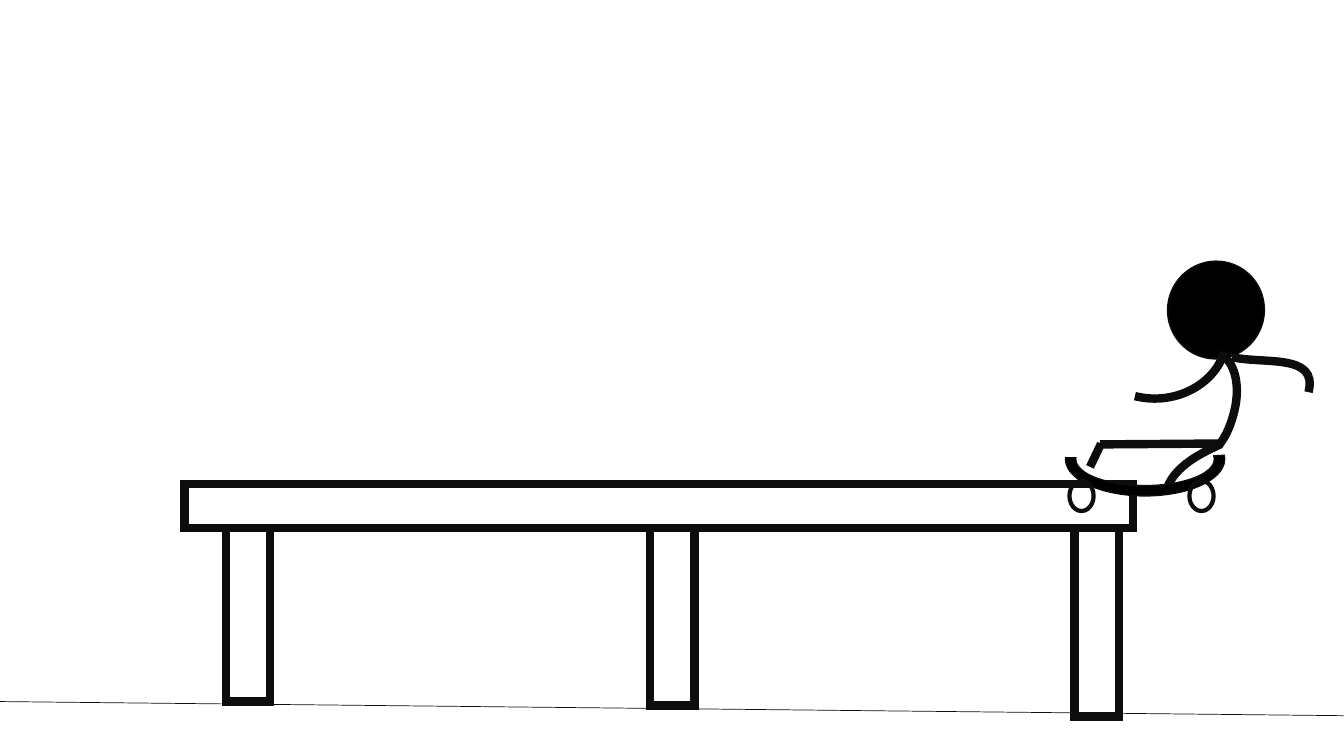
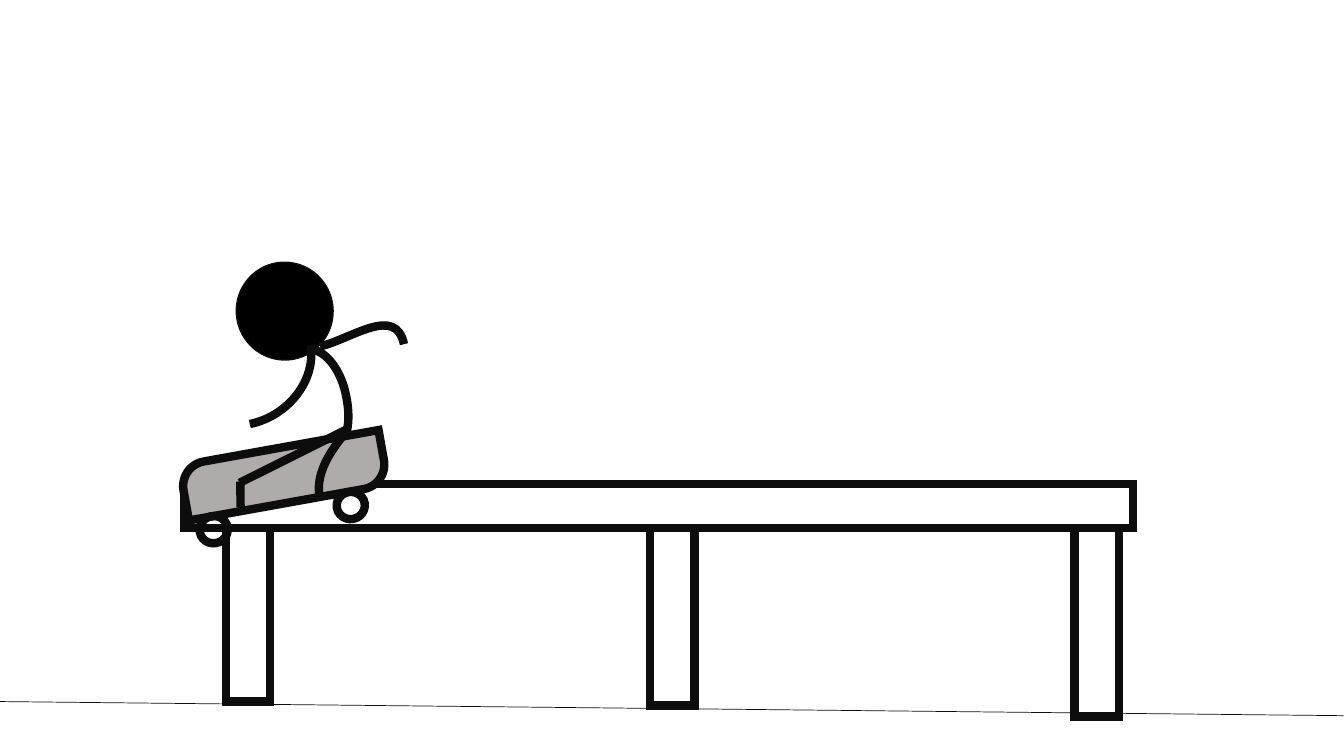
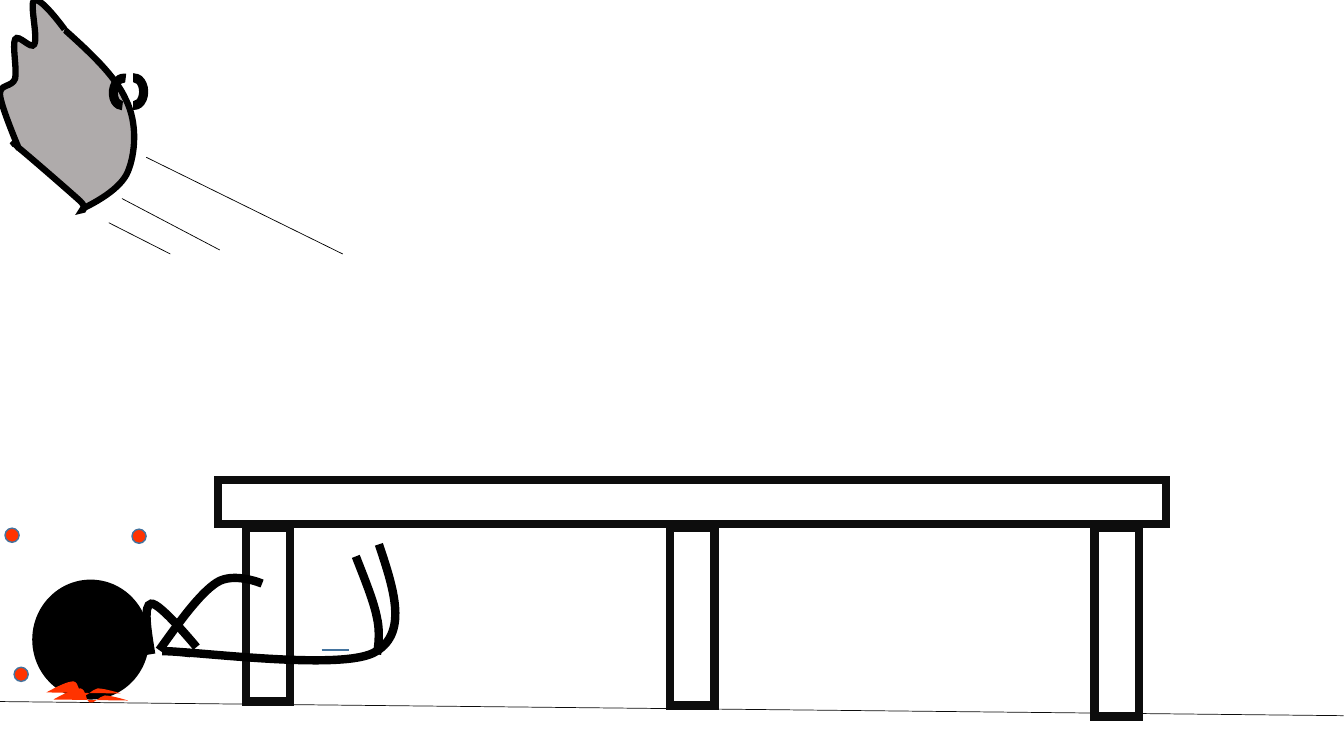
from dataclasses import dataclass
from math import cos, radians, sin

from lxml.etree import SubElement
from pptx import Presentation
from pptx.dml.color import RGBColor
from pptx.enum.shapes import MSO_CONNECTOR as CONN, MSO_SHAPE as SHAPE
from pptx.oxml.ns import qn
from pptx.util import Emu, Pt

PX = 9144
STEPS = 40


@dataclass(frozen=True)
class Theme:
    """Colours and line weights shared by the slides."""
    ink: str = "0D0D0D"
    black: str = "000000"
    board: str = "AFABAB"
    blood: str = "FF3300"
    blue: str = "43739E"
    hair: float = 0.5
    thin: float = 1
    arc: float = 2.25
    wheel: float = 3
    outline: float = 4.5
    bold: float = 6


T = Theme()


def emu(n):
    """Turn px into EMU."""
    return Emu(round(n * PX))


def set_line(shape, color, weight):
    """Give a shape a mitred line, or none."""
    if color is None:
        shape.line.fill.background()
        return
    shape.line.color.rgb = RGBColor.from_string(color)
    shape.line.width = Pt(weight)
    ln = shape.element.spPr.find(qn("a:ln"))
    SubElement(ln, qn("a:miter"), lim="800000")


def paint(shape, fill, color, weight):
    """Set the fill and line of a shape and drop its shadow."""
    shape.shadow.inherit = False
    if fill:
        shape.fill.solid()
        shape.fill.fore_color.rgb = RGBColor.from_string(fill)
    else:
        shape.fill.background()
    set_line(shape, color, weight)


def preset(s, kind, box, fill=None, color=T.ink, weight=T.bold, rot=0, adj=()):
    """Add a preset shape."""
    sp = s.shapes.add_shape(kind, *map(emu, box))
    for i, value in enumerate(adj):
        sp.adjustments[i] = value
    sp.rotation = rot
    paint(sp, fill, color, weight)


def line(s, start, end, color=T.ink, weight=T.bold):
    """Add a straight connector between two points."""
    cx = s.shapes.add_connector(CONN.STRAIGHT, *map(emu, (*start, *end)))
    set_line(cx, color, weight)
    SubElement(cx.element.spPr, qn("a:effectLst"))


def bezier(a, b, c, d):
    """Return points along one cubic curve."""
    pts = []
    for i in range(STEPS + 1):
        t = i / STEPS
        u = 1 - t
        k = (u ** 3, 3 * u * u * t, 3 * u * t * t, t ** 3)
        pts.append(tuple(sum(w * p[n] for w, p in zip(k, (a, b, c, d))) for n in (0, 1)))
    return pts


def bounds(pts):
    """Return the box around joined cubic curves."""
    dots = [q for i in range(0, len(pts) - 1, 3) for q in bezier(*pts[i:i + 4])]
    xs, ys = zip(*dots)
    return min(xs), min(ys), max(xs) - min(xs), max(ys) - min(ys)


def curve(s, pts, box=None, fill=None, color=T.ink, weight=T.bold, rot=0):
    """Add an open outline of joined cubic curves in its box."""
    x, y, w, h = map(emu, box or bounds(pts))
    dots = [(emu(px), emu(py)) for px, py in pts]
    fb = s.shapes.build_freeform(*dots[0])
    fb.add_line_segments(dots[1:], close=False)
    sp = fb.convert_to_shape()
    sp.left, sp.top, sp.width, sp.height = x, y, w, h
    sp.rotation = rot
    geo = next(sp.element.spPr.iter(qn("a:path")))
    for el in list(geo):
        geo.remove(el)
    geo.set("w", str(w))
    geo.set("h", str(h))
    parts = [("a:moveTo", dots[:1])]
    parts += [("a:cubicBezTo", dots[i:i + 3]) for i in range(1, len(dots), 3)]
    for tag, group in parts:
        el = SubElement(geo, qn(tag))
        for px, py in group:
            SubElement(el, qn("a:pt"), x=str(px - x), y=str(py - y))
    paint(sp, fill, color, weight)


def shift(x, y, pts):
    """Move points into a box."""
    return [(x + px, y + py) for px, py in pts]


def turn(x, y, angle, pts):
    """Turn points about a hip and move them there."""
    c, n = cos(radians(angle)), sin(radians(angle))
    return [(x + px * c - py * n, y + px * n + py * c) for px, py in pts]


def ground(s):
    """Draw the sloping ground line."""
    line(s, (0, 696), (1333, 710), weight=T.hair)


def bench(s, x, y, leg_x, leg_y=524):
    """Draw a long bench with three legs."""
    preset(s, SHAPE.RECTANGLE, (x, y, 941, 44))
    for i, h in enumerate((172, 176, 187)):
        preset(s, SHAPE.RECTANGLE, (leg_x + 421 * i, leg_y, 44, h))


def rider(s, x, y, angle):
    """Draw a seated figure, turned about its hip."""
    def offset(box):
        left, top, w, h = box
        mx, my = left + w / 2, top + h / 2
        (cx, cy), = turn(x, y, angle, [(mx, my)])
        return cx - mx, cy - my

    def limb(box, pts):
        dx, dy = offset(box)
        left, top, w, h = box
        curve(s, shift(dx, dy, pts), (left + dx, top + dy, w, h), rot=angle)

    limb((-40, 0, 51, 110), [(0, 0), (6, 0), (-40, 25), (-40, 60)])
    line(s, *turn(x, y, angle, [(0, 0), (-115, 30)]))
    line(s, *turn(x, y, angle, [(-114, 29), (-119, 54)]))
    limb((-52, -86, 58, 90), [(-23, -86), (-8, -85), (4, -66), (6, -41),
                              (7, -25), (5, -8), (-1, 3)])
    head = (-84, -176, 96, 97)
    dx, dy = offset(head)
    preset(s, SHAPE.OVAL, (head[0] + dx, head[1] + dy, *head[2:]), T.black,
           weight=T.thin, rot=angle)
    limb((-9, -94, 82, 82), [(-9, -86), (24, -87), (73, -111), (73, -71)])
    limb((-93, -89, 74, 64), [(-18, -89), (-19, -56), (-52, -25), (-93, -25)])


def side_board(s, x, y):
    """Draw the curved skateboard seen from the side."""
    preset(s, SHAPE.BLOCK_ARC, (x, y, 158, 73), T.black, weight=T.thin,
           adj=(214.35, 108.61, 0.14))
    for dx in (4, 123):
        preset(s, SHAPE.OVAL, (x + dx, y + 58, 24, 30), weight=T.wheel)


def tilted_board(s, x, y):
    """Draw the grey skateboard tipping off the bench."""
    preset(s, SHAPE.ROUND_2_DIAG_RECTANGLE, (x, y, 201, 55), T.board,
           rot=-10.2, adj=(0.45, 0))
    for dx, dy in ((17, 68), (153, 44)):
        preset(s, SHAPE.OVAL, (x + dx, y + dy, 28, 27), rot=-10.2)


def broken_board(s, x, y):
    """Draw the flying half board with its wheel and speed lines."""
    deck = [(58, 24), (86, 49), (114, 74), (125, 99), (137, 123), (134, 153),
            (127, 170), (120, 188), (92, 202), (84, 206), (76, 211), (90, 209),
            (79, 199), (68, 189), (30, 156), (19, 147), (9, 137), (12, 140), (15, 144)]
    splinters = [(64, 29), (52, 13), (39, -2), (34, 0), (29, 3), (38, 37),
                 (34, 44), (31, 50), (18, 33), (15, 39), (12, 45), (17, 69),
                 (15, 78), (12, 87), (-1, 83), (0, 94), (1, 106), (19, 148), (19, 148)]
    for pts in (deck, splinters):
        curve(s, shift(x, y, pts), None, T.board, T.black, T.outline)
    for dx, rot, adj in ((117, 90, (108, 0)), (105, 96.7, (0, 108))):
        preset(s, SHAPE.BLOCK_ARC, (x + dx, y + 79, 33, 24), T.black, T.black,
               T.arc, rot, adj)
    for ends in (((108, 221), (169, 252)), ((121, 197), (218, 248)),
                 ((145, 156), (340, 252))):
        line(s, *shift(x, y, ends), T.black, T.hair)


def fallen(s, x, y):
    """Draw the figure lying on the ground."""
    body = [(344, -35), (359, 10), (374, 55), (338, 73), (302, 90), (162, 71),
            (129, 71), (133, 71), (141, 71), (157, 73)]
    leg = [(321, -23), (330, 0), (339, 22), (342, 38), (346, 55), (342, 74), (342, 74)]
    far_arm = [(126, 70), (146, 42), (166, 14), (183, 3), (200, -8), (228, 4), (228, 4)]
    near_arm = [(118, 74), (114, 50), (110, 25), (118, 24), (126, 22), (163, 67), (163, 67)]
    for pts in (body, leg, far_arm, near_arm):
        curve(s, shift(x, y, pts), color=T.black)
    preset(s, SHAPE.OVAL, (x, y, 116, 119), T.black, None)
    line(s, *shift(x, y, ((287, 70), (314, 70))), T.blue, T.thin)


def splash(s, x, y):
    """Draw the puddle and the drops around the head."""
    puddle = [(0, 11), (11, 5), (21, 0), (27, 0), (33, 1), (32, 13), (36, 14),
              (40, 16), (45, 8), (51, 7), (58, 7), (74, 12), (74, 12)]
    for dx, dy in ((7, 7), (0, 0)):
        curve(s, shift(x + dx, y + dy, puddle), None, T.blood, None)
    for dx, dy in ((85, -151), (-32, -14), (-41, -152)):
        preset(s, SHAPE.OVAL, (x + dx, y + dy, 14, 14), T.blood, T.blue, T.thin)


def ride_slide(s):
    """Build the slide with the rider at the right end."""
    bench(s, 183, 480, 224)
    ground(s)
    rider(s, 1210, 440, 14.2)
    side_board(s, 1057, 419)


def tip_slide(s):
    """Build the slide with the board tipping at the left end."""
    bench(s, 183, 480, 224)
    ground(s)
    tilted_board(s, 181, 444)
    rider(s, 344, 426, -11.9)


def crash_slide(s):
    """Build the slide with the crash."""
    bench(s, 216, 476, 244)
    ground(s)
    broken_board(s, 0, 0)
    fallen(s, 32, 575)
    splash(s, 46, 676)


def main():
    """Build and save the three slides."""
    prs = Presentation()
    prs.slide_width, prs.slide_height = Emu(12192000), emu(750)
    for build in (ride_slide, tip_slide, crash_slide):
        build(prs.slides.add_slide(prs.slide_layouts[6]))
    prs.save("out.pptx")


if __name__ == "__main__":
    main()
